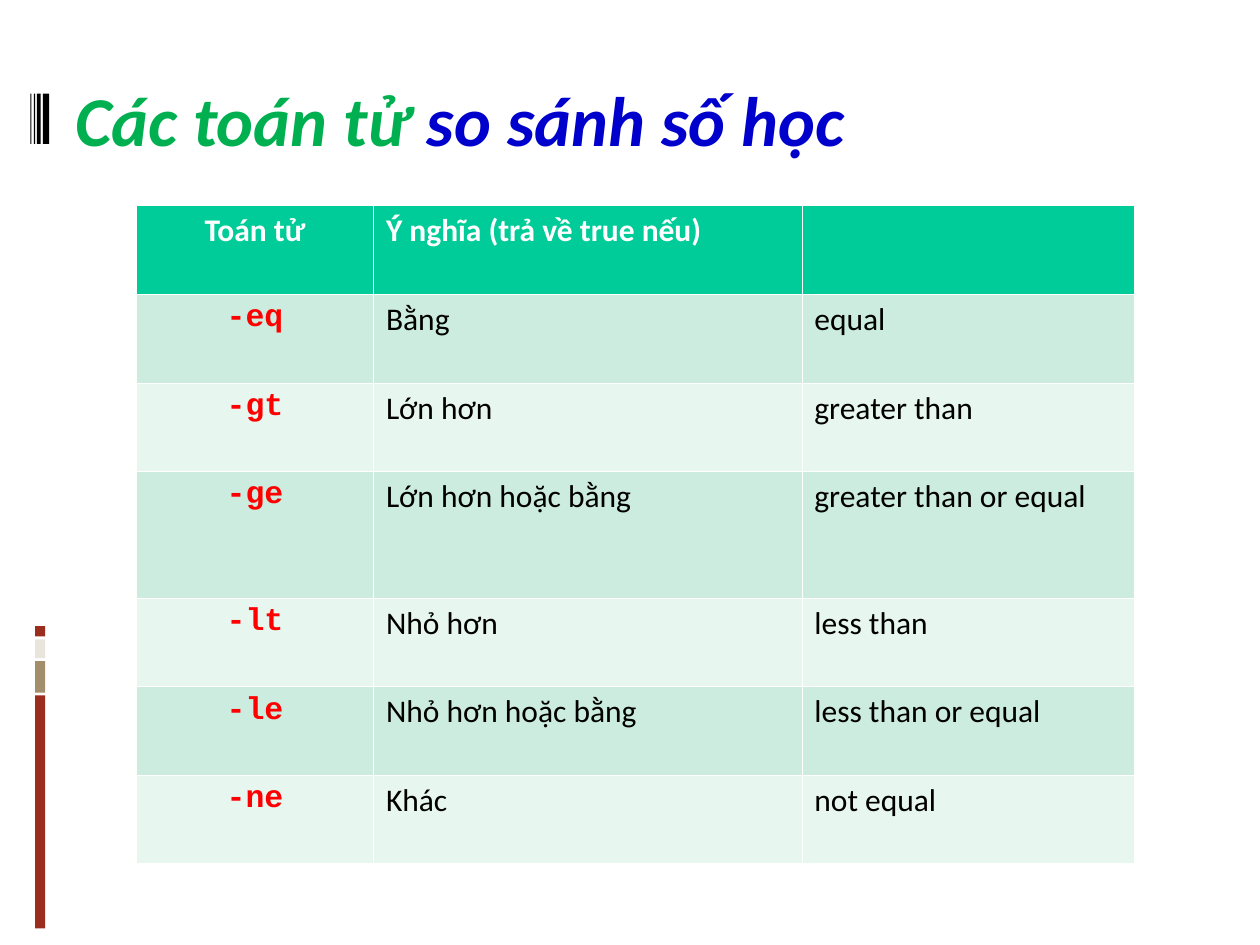
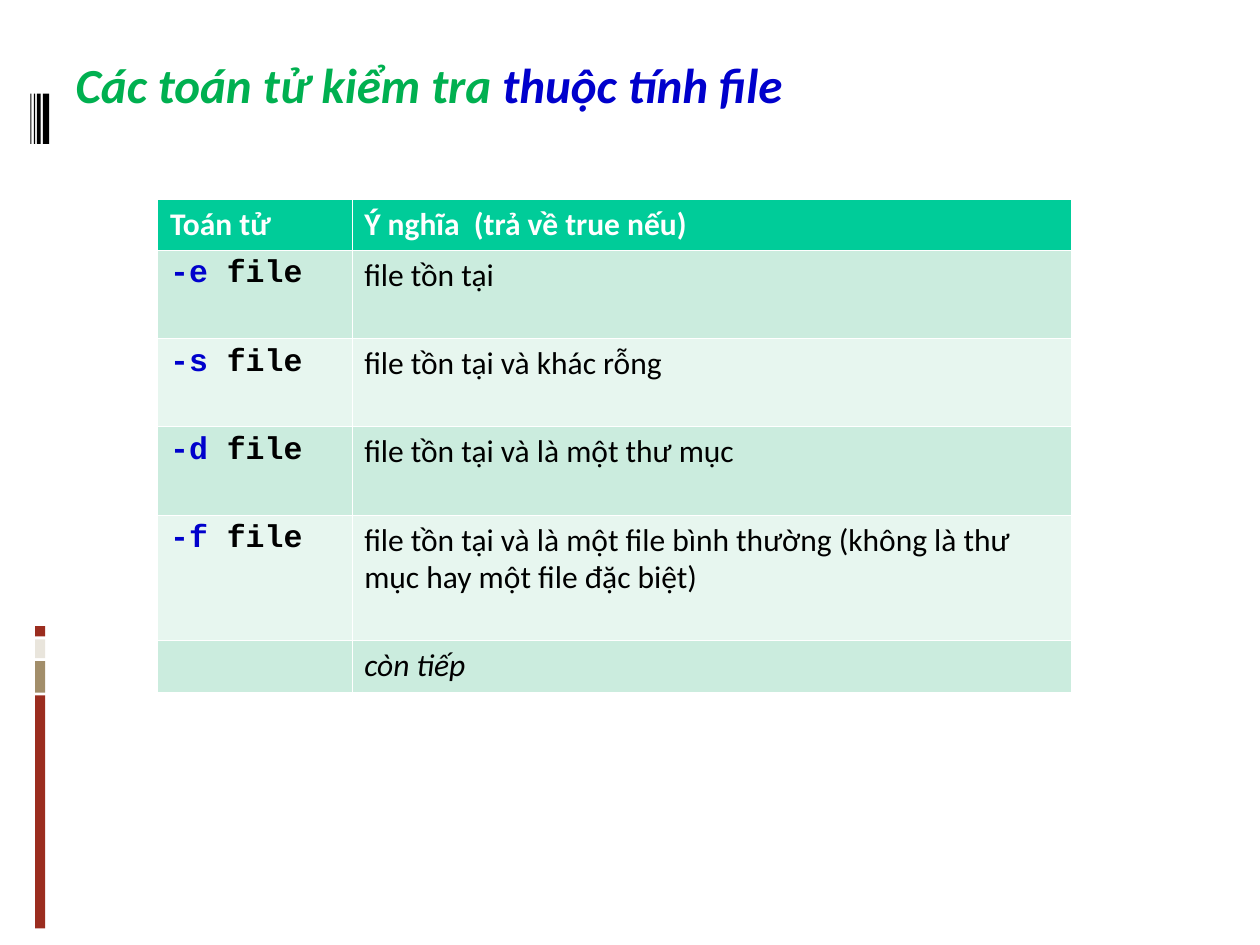
from pptx import Presentation
from pptx.dml.color import RGBColor
from pptx.enum.shapes import MSO_SHAPE
from pptx.enum.text import MSO_ANCHOR, MSO_AUTO_SIZE, PP_ALIGN
from pptx.oxml import parse_xml
from pptx.oxml.ns import nsdecls
from pptx.util import Pt


class Theme:
    sans, mono = "Calibri", "Courier New"
    green, blue, red = "00B050", "0000CC", "FF0000"
    black, white = "000000", "FFFFFF"
    head, bands = "00CC99", ("CBECDE", "E7F6EF")
    rust, tan, cream = "9B2D1F", "A28E6A", "E9E5DC"
    body = 18
    thin, thick = 0.23, 0.75


# Content: title runs, then table rows (the first row is the header)
SLIDES = [
    dict(
        title=("Các toán tử ", "so sánh số học"), size=40,
        box=(36, 16.5, 648, 102),
        spot=(78, 117.5), cols=(135.4, 244.8, 190), flag=Theme.red,
        align=PP_ALIGN.CENTER,
        highs=(50.6, 50.6, 50.6, 72.4, 50.6, 50.6, 50.6),
        rows=[
            ("Toán tử", "Ý nghĩa (trả về true nếu)", ""),
            ("-eq", "Bằng", "equal"),
            ("-gt", "Lớn hơn", "greater than"),
            ("-ge", "Lớn hơn hoặc bằng", "greater than or equal"),
            ("-lt", "Nhỏ hơn", "less than"),
            ("-le", "Nhỏ hơn hoặc bằng", "less than or equal"),
            ("-ne", "Khác", "not equal"),
        ],
    ),
    dict(
        title=("Các toán tử kiểm tra ", "thuộc tính file"), size=28,
        box=(36, 11, 648, 73.5),
        spot=(90, 114), cols=(111, 411), flag=Theme.blue,
        align=PP_ALIGN.LEFT,
        highs=(29, 50.4, 50.4, 50.4, 71.6, 30),
        rows=[
            ("Toán tử", "Ý nghĩa  (trả về true nếu)"),
            ("-e file", "file tồn tại"),
            ("-s file", "file tồn tại và khác rỗng"),
            ("-d file", "file tồn tại và là một thư mục"),
            ("-f file", "file tồn tại và là một file bình thường "
                        "(không là thư mục hay một file đặc biệt)"),
            ("", "còn tiếp"),
        ],
        slant="còn tiếp",
    ),
]

# Side marks: left, top, width, height, colour
MARKS = [
    (20, 397.3, 5.8, 133.2, Theme.rust),
    (20, 377.8, 5.8, 18, Theme.tan),
    (20, 365.3, 5.8, 10.8, Theme.cream),
    (20, 357.8, 5.8, 5.8, Theme.rust),
] + [(left, 53.5, wide, 28.8, Theme.black)
     for left, wide in ((24.5, 3.6), (21.1, 2.2), (19.4, 0.8), (17.3, 0.6))]


def tint(hue):
    return RGBColor.from_string(hue)


def write(para, parts, size, face=Theme.sans, bold=False, slant=False):
    """Fill a paragraph with (text, colour) parts in one type style."""
    para.text = parts[0][0]
    for text, _ in parts[1:]:
        para.add_run().text = text
    for run, (_, hue) in zip(para.runs, parts):
        font = run.font
        font.name, font.size = face, Pt(size)
        font.bold, font.italic = bold, slant
        font.color.rgb = tint(hue)


def edge(cell, top, low):
    """Give a cell white borders of the given top and bottom widths."""
    widths = dict(lnL=Theme.thin, lnR=Theme.thin, lnT=top, lnB=low)
    props = cell._tc.get_or_add_tcPr()
    for spot, (tag, width) in enumerate(widths.items()):
        props.insert(spot, parse_xml(
            f'<a:{tag} {nsdecls("a")} w="{Pt(width)}"><a:solidFill>'
            f'<a:srgbClr val="{Theme.white}"/></a:solidFill></a:{tag}>'))


def mark(layout, slide):
    """Draw the side marks and move them to the shared layout."""
    for hold in list(layout.placeholders)[1:]:
        hold.element.getparent().remove(hold.element)
    for *box, hue in MARKS:
        bar = slide.shapes.add_shape(MSO_SHAPE.RECTANGLE, *map(Pt, box))
        bar.shadow.inherit = False
        bar.fill.solid()
        bar.fill.fore_color.rgb = tint(hue)
        bar.line.fill.background()
        layout.shapes.element.append(bar.element)


def head(slide, data):
    title = slide.shapes.title
    title.left, title.top, title.width, title.height = map(Pt, data["box"])
    frame = title.text_frame
    frame.auto_size, frame.word_wrap = MSO_AUTO_SIZE.NONE, True
    frame.vertical_anchor = MSO_ANCHOR.MIDDLE
    para = frame.paragraphs[0]
    para.alignment = PP_ALIGN.LEFT
    write(para, list(zip(data["title"], (Theme.green, Theme.blue))),
          data["size"], bold=True, slant=True)


def grid(slide, data):
    rows, cols, highs = data["rows"], data["cols"], data["highs"]
    table = slide.shapes.add_table(
        len(rows), len(cols), *map(Pt, data["spot"]),
        Pt(sum(cols)), Pt(sum(highs))).table
    for col, wide in zip(table.columns, cols):
        col.width = Pt(wide)
    for r, (row, high) in enumerate(zip(rows, highs)):
        table.rows[r].height = Pt(high)
        for c, text in enumerate(row):
            cell = table.cell(r, c)
            cell.fill.solid()
            cell.fill.fore_color.rgb = tint(
                Theme.bands[(r - 1) % 2] if r else Theme.head)
            edge(cell, Theme.thick if r == 1 else Theme.thin,
                 Theme.thin if r else Theme.thick)
            para = cell.text_frame.paragraphs[0]
            para.alignment = PP_ALIGN.LEFT if c else data["align"]
            code = r > 0 and c == 0
            para.line_spacing = 0.94 if code else 0.98
            if not text:
                para.font.size = Pt(Theme.body)
            elif code:
                flag, gap, rest = text.partition(" ")
                parts = [(flag, data["flag"])]
                if rest:
                    parts.append((gap + rest, Theme.black))
                write(para, parts, Theme.body, Theme.mono, bold=True)
            else:
                write(para, [(text, Theme.black if r else Theme.white)],
                      Theme.body, bold=r == 0,
                      slant=text == data.get("slant"))


def main():
    deck = Presentation()
    deck.slide_width, deck.slide_height = Pt(720), Pt(540)
    layout = deck.slide_layouts[5]
    for data in SLIDES:
        slide = deck.slides.add_slide(layout)
        if data is SLIDES[0]:
            mark(layout, slide)
        head(slide, data)
        grid(slide, data)
    deck.save("out.pptx")


if __name__ == "__main__":
    main()
